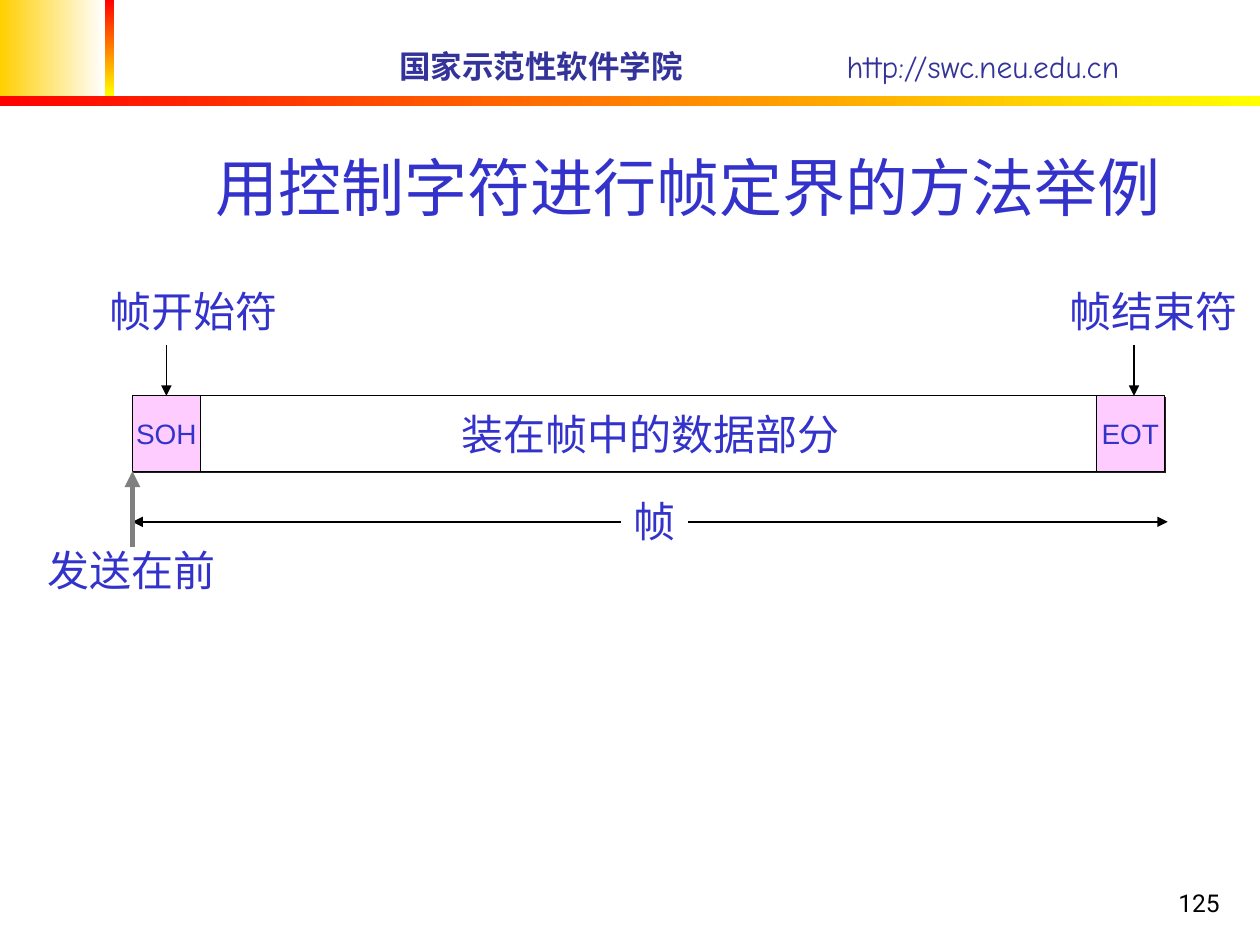
"""Build the slide on marking frame boundaries with control characters."""
import pptx
import pptx.dml.color
import pptx.enum.shapes
import pptx.enum.text
import pptx.oxml
import pptx.oxml.ns
import pptx.util
from pptx.util import Cm

THEME = {
    "text": "3333CC", "header": "333399", "black": "000000", "grey": "808080",
    "pink": "FFCCFF", "white": "FFFFFF", "red": "FF0000", "yellow": "FFFF00",
    "gold": "FFCF01", "shadow": "1C1C1C",
    "title_size": 36, "label_size": 24, "header_size": 18, "code_size": 16, "number_size": 14,
    "body_font": "Arial", "title_font": "Roboto", "header_font": "Comic Neue",
}
ALIGN = pptx.enum.text.PP_ALIGN
ANCHOR = pptx.enum.text.MSO_ANCHOR
RECTANGLE = pptx.enum.shapes.MSO_SHAPE.RECTANGLE

TITLE = "用控制字符进行帧定界的方法举例"
HEADER = [("国家示范性软件学院", True), ("\thttp://swc.neu.edu.cn", False)]
HEADER_TAB = 9.02
PAGE_NUMBER = "125"
BANDS = [
    (0, 0, 2.11, 1.93, "gold", "white", 0),
    (2.11, 0, 0.2, 1.93, "red", "yellow", 270),
    (0, 1.93, 25.4, 0.2, "red", "yellow", 0),
]
CELL_TOP, CELL_HEIGHT = 7.98, 1.52
CELLS = [
    ("SOH", 2.67, 1.37, "pink", "code_size"),
    ("装在帧中的数据部分", 4.04, 18.13, "white", "label_size"),
    ("EOT", 22.1, 1.37, "pink", "code_size"),
]
FRAME_LEFT, FRAME_RIGHT = 2.67, 23.54
CELL_BOTTOM = CELL_TOP + CELL_HEIGHT
ARROWS = [
    ((FRAME_LEFT, 10.52), (FRAME_RIGHT, 10.52), "black", 0.75, ("headEnd", "tailEnd")),
    ((3.35, 6.96), (3.35, CELL_TOP), "black", 0.75, ("tailEnd",)),
    ((22.86, 6.96), (22.86, CELL_TOP), "black", 0.75, ("tailEnd",)),
    ((FRAME_LEFT, 11.02), (FRAME_LEFT, CELL_BOTTOM), "grey", 3, ("tailEnd",)),
]
START_ARROW = 1
LABELS = [
    ("帧", 12.52, 9.86, 1.35, "white"),
    ("帧开始符", 1.96, 5.64, 3.89, None),
    ("帧结束符", 21.31, 5.64, 3.89, None),
    ("发送在前", 0.71, 10.85, 3.89, None),
]


def color(name):
    return pptx.dml.color.RGBColor.from_string(THEME[name])


def add_xml(parent, body):
    parent.append(pptx.oxml.parse_xml(body.replace(
        "/>" if body.endswith("/>") and body.count("<") == 1 else ">",
        f" {pptx.oxml.ns.nsdecls('a')}" + ("/>" if body.count("<") == 1 else ">"), 1)))


def style(para, size, font="body_font", tint="text", align=None):
    para.alignment = align
    for span in para.runs:
        span.font.size = pptx.util.Pt(THEME[size])
        span.font.name = THEME[font]
        span.font.color.rgb = color(tint)


def add_band(page, left, top, width, height, first, last, angle):
    band = page.shapes.add_shape(RECTANGLE, Cm(left), Cm(top), Cm(width), Cm(height))
    band.shadow.inherit = False
    band.line.fill.background()
    band.fill.gradient()
    band.fill.gradient_angle = angle
    for stop, name in zip(band.fill.gradient_stops, (first, last)):
        stop.color.rgb = color(name)


def add_header(page):
    box = page.shapes.add_textbox(Cm(7.8), Cm(0.81), Cm(17.02), Cm(1.02))
    box.text_frame.word_wrap = True
    box.text_frame.vertical_anchor = ANCHOR.MIDDLE
    para = box.text_frame.paragraphs[0]
    add_xml(para._p.get_or_add_pPr(),
            f'<a:tabLst><a:tab pos="{Cm(HEADER_TAB)}" algn="l"/></a:tabLst>')
    for text, bold in HEADER:
        span = para.add_run()
        span.text = text
        span.font.bold = bold
    style(para, "header_size", "header_font", "header")


def add_title(page):
    title = page.shapes.title
    title.left, title.top, title.width, title.height = Cm(3.04), Cm(0.58), Cm(21.64), Cm(4.06)
    title.text_frame.text = TITLE
    title.text_frame.vertical_anchor = ANCHOR.BOTTOM
    style(title.text_frame.paragraphs[0], "title_size", "title_font", align=ALIGN.CENTER)


def add_number(page):
    box = page.shapes.add_textbox(Cm(19.56), Cm(17.35), Cm(5.28), Cm(1.27))
    box.text_frame.text = PAGE_NUMBER
    box.text_frame.word_wrap = True
    box.text_frame.vertical_anchor = ANCHOR.BOTTOM
    style(box.text_frame.paragraphs[0], "number_size", "title_font", "black", ALIGN.RIGHT)


def add_cell(page, text, left, width, fill, size):
    cell = page.shapes.add_shape(RECTANGLE, Cm(left), Cm(CELL_TOP), Cm(width), Cm(CELL_HEIGHT))
    cell.fill.solid()
    cell.fill.fore_color.rgb = color(fill)
    cell.line.color.rgb = color("black")
    cell.line.width = pptx.util.Pt(0.75)
    add_xml(cell._element.spPr,
            f'<a:effectLst><a:outerShdw dist="{pptx.util.Pt(1.4)}" dir="2700000">'
            f'<a:srgbClr val="{THEME["shadow"]}"/></a:outerShdw></a:effectLst>')
    cell.text_frame.text = text
    cell.text_frame.word_wrap = False
    cell.text_frame.vertical_anchor = ANCHOR.MIDDLE
    style(cell.text_frame.paragraphs[0], size, align=ALIGN.CENTER)
    return cell


def add_arrow(page, start, end, tint, weight, ends):
    arrow = page.shapes.add_connector(
        pptx.enum.shapes.MSO_CONNECTOR.STRAIGHT, *(Cm(value) for value in start + end))
    arrow.line.color.rgb = color(tint)
    arrow.line.width = pptx.util.Pt(weight)
    for name in ends:
        add_xml(arrow.line._get_or_add_ln(), f'<a:{name} type="triangle"/>')
    add_xml(arrow._element.spPr, "<a:effectLst/>")
    return arrow


def add_label(page, text, left, top, width, fill):
    label = page.shapes.add_textbox(Cm(left), Cm(top), Cm(width), Cm(1.27))
    if fill:
        label.fill.solid()
        label.fill.fore_color.rgb = color(fill)
    label.text_frame.text = text
    label.text_frame.word_wrap = False
    label.text_frame.auto_size = pptx.enum.text.MSO_AUTO_SIZE.SHAPE_TO_FIT_TEXT
    style(label.text_frame.paragraphs[0], "label_size")


def main():
    deck = pptx.Presentation()
    deck.slide_width, deck.slide_height = Cm(25.4), Cm(19.05)
    page = deck.slides.add_slide(deck.slide_layouts[5])
    for band in BANDS:
        add_band(page, *band)
    add_header(page)
    add_number(page)
    add_title(page)
    cells = [add_cell(page, *cell) for cell in CELLS]
    arrows = [add_arrow(page, *arrow) for arrow in ARROWS]
    arrows[START_ARROW].end_connect(cells[0], 0)
    arrows[START_ARROW].begin_x = arrows[START_ARROW].end_x
    for label in LABELS:
        add_label(page, *label)
    deck.save("out.pptx")


if __name__ == "__main__":
    main()
